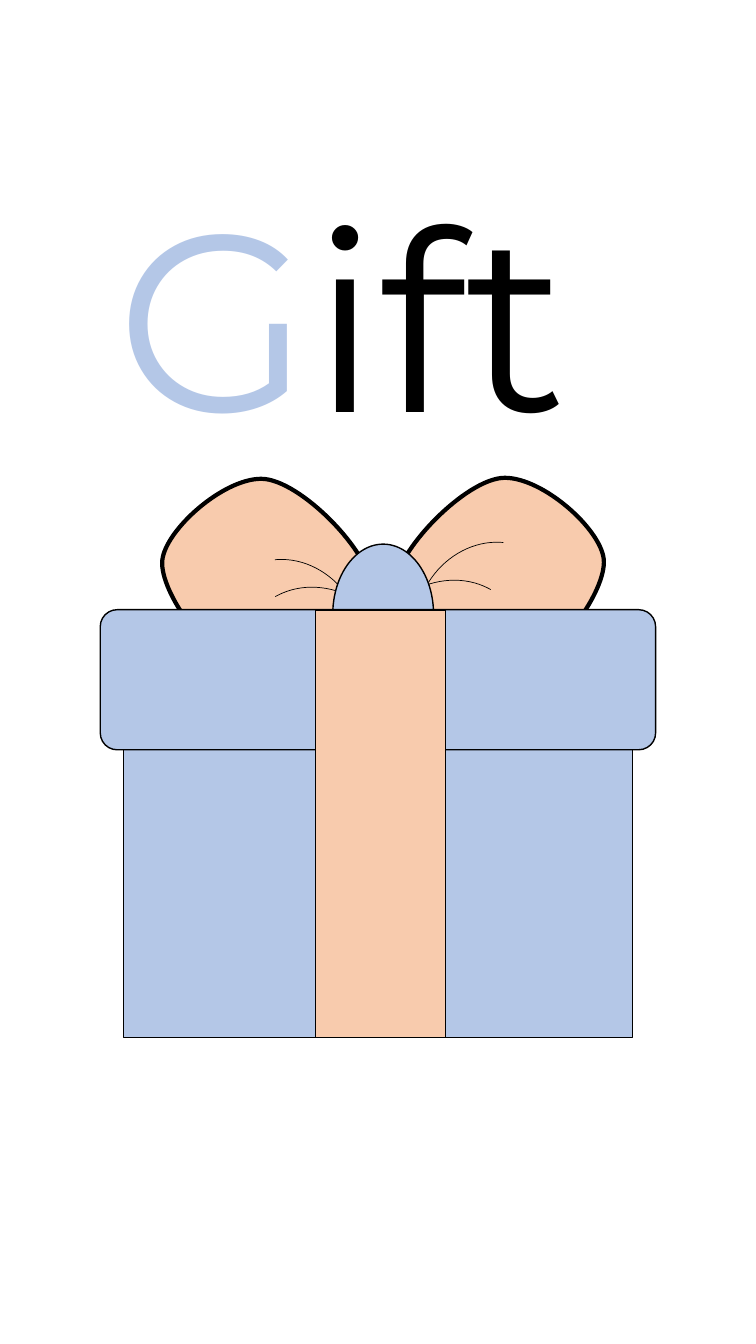
from lxml import etree
from pptx import Presentation
from pptx.dml.color import RGBColor
from pptx.enum import shapes as sh, text as tx
from pptx.oxml.ns import qn
from pptx.util import Pt

HUES = {"blue": "B4C7E7", "peach": "F8CBAD", "black": "000000"}
FONT = "Montserrat"

# Content: title runs, then gift parts in points
TITLE = [("G", "blue"), ("ift", "black")]
TITLE_BOX = (75.95, 111.1, 428.4, 225.4)

# Bow loop seen from its centre: start point, then curves of two handles and an end
START = (-16.5, 66.6)
CURVES = [
    ((-41, 63), (-76.2, 14), (-74.15, -8.3)),
    ((-72, -29.9), (-31, -66.6), (-3.5, -66.6)),
    ((24.5, -66.6), (76.4, -11.9), (74.15, 10.4)),
    ((72, 32), (8.7, 69.5), START),
]
# Loop centre, turn, side
LOOPS = [
    ((190.1, 408.6), 270, -1),
    ((357.1, 407.9), 90, 1),
]

# Folds: left, top, turn, flipped
FOLD_SIZE = (114.5, 102.2)
FOLD_ARC = (270, 338.46)
FOLDS = [
    (261.4, 416.4, 326.1, False),
    (171.4, 421.4, 33.9, True),
    (149.2, 404.1, 58.2, True),
    (292.3, 391.8, 301.8, False),
]

# Solid parts: kind, box, fill, corner
KIND = sh.MSO_SHAPE
PARTS = [
    (KIND.OVAL, (237.7, 388.7, 72, 100.1), "blue", None),
    (KIND.RECTANGLE, (88.3, 457.2, 363.6, 283.9), "blue", None),
    (KIND.ROUNDED_RECTANGLE, (71.6, 435.5, 396.7, 100.1), "blue", 0.121),
    (KIND.RECTANGLE, (225.4, 435.6, 92.7, 305.5), "peach", None),
]


def hue(name):
    return RGBColor.from_string(HUES[name])


def paint(shape, fill, width):
    shape.shadow.inherit = False
    if fill:
        shape.fill.solid()
        shape.fill.fore_color.rgb = hue(fill)
    else:
        shape.fill.background()
    shape.line.color.rgb = hue("black")
    shape.line.width = Pt(width)


def write(slide, box, runs, size, font):
    frame = slide.shapes.add_textbox(*map(Pt, box)).text_frame
    frame.word_wrap = True
    frame.auto_size = tx.MSO_AUTO_SIZE.SHAPE_TO_FIT_TEXT
    for words, tint in runs:
        run = frame.paragraphs[0].add_run()
        run.text = words
        run.font.size = Pt(size)
        run.font.name = font
        run.font.color.rgb = hue(tint)


def loop(group, mid, turn, side):
    """Draw one upright loop, bend its edges, then turn it into place."""
    def place(dot):
        x, y = dot
        return Pt(mid[0] + side * y), Pt(mid[1] + x)

    form = group.build_freeform(*place(START), scale=1.0)
    form.add_line_segments([place(c[-1]) for c in CURVES], close=True)
    shape = form.convert_to_shape()
    edges = list(shape._element.iter(qn("a:lnTo")))
    for edge, curve in zip(edges, CURVES):
        bend = etree.Element(qn("a:cubicBezTo"))
        for x, y in map(place, curve):
            etree.SubElement(bend, qn("a:pt"),
                             x=str(x - shape.left), y=str(y - shape.top))
        edge.getparent().replace(edge, bend)
    shape.rotation = turn
    paint(shape, "peach", 3)


def main():
    deck = Presentation()
    deck.slide_width, deck.slide_height = Pt(540), Pt(960)
    slide = deck.slides.add_slide(deck.slide_layouts[6])

    # Title
    write(slide, TITLE_BOX, TITLE, size=180, font=FONT)

    # Bow loops
    gift = slide.shapes.add_group_shape().shapes
    for mid, turn, side in LOOPS:
        loop(gift, mid, turn, side)

    # Folds in the bow
    for x, y, turn, flip in FOLDS:
        fold = gift.add_shape(KIND.ARC, *map(Pt, (x, y, *FOLD_SIZE)))
        for i, angle in enumerate(FOLD_ARC):
            fold.adjustments[i] = angle * 0.6  # 60000 units per degree
        fold.rotation = turn
        if flip:
            fold._element.spPr.xfrm.set("flipH", "1")
        paint(fold, None, 0.5)

    # Knot, box, lid and ribbon
    for kind, box, fill, corner in PARTS:
        part = gift.add_shape(kind, *map(Pt, box))
        if corner:
            part.adjustments[0] = corner
        paint(part, fill, 1)

    deck.save("out.pptx")


if __name__ == "__main__":
    main()
